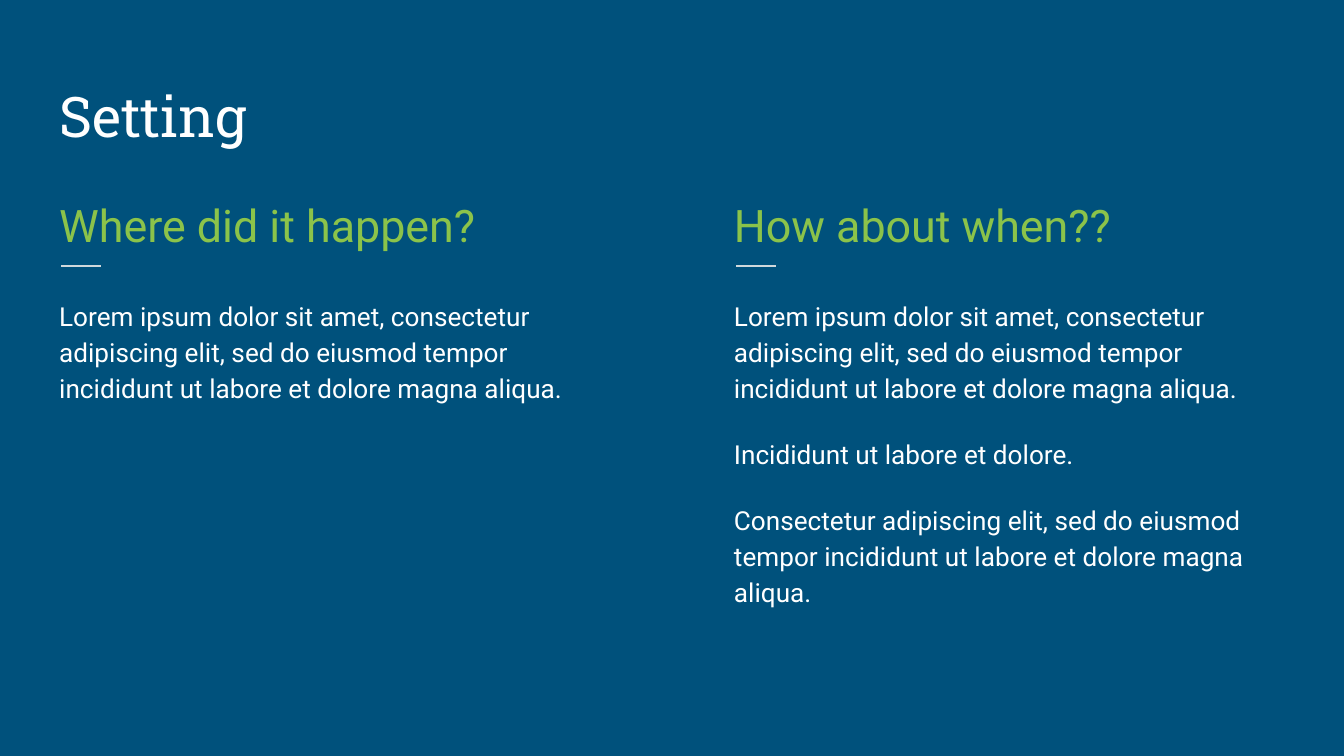
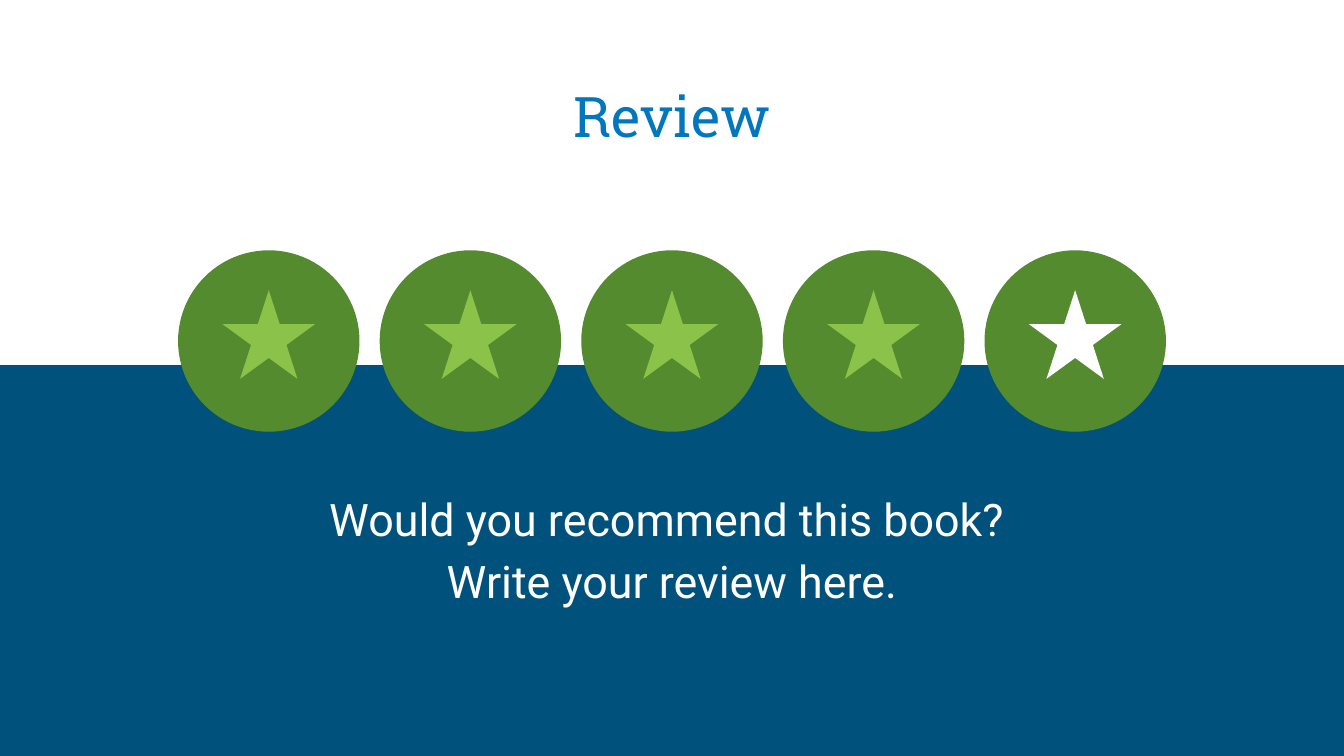
"""Build the setting and review slides of a book report."""
from dataclasses import dataclass

from lxml import etree
from pptx import Presentation
from pptx.dml.color import RGBColor as Rgb
from pptx.enum import shapes, text
from pptx.oxml import ns
from pptx.util import Pt


@dataclass(frozen=True)
class Theme:
    navy: str = "00517C"
    blue: str = "0277BD"
    green: str = "558B2F"
    lime: str = "8BC34A"
    grey: str = "CFD8DC"
    white: str = "FFFFFF"
    serif: str = "Roboto Slab"
    sans: str = "Roboto"
    title: int = 30
    lead: int = 24
    body: int = 14
    gap: int = 16


WIDE, HIGH = 720, 405
LEFT, FULL = 24.5, 671
COL, STEP = 303, 361.5
DISC, PITCH = 97.2, 108
STAR = 49.7, 47.5
LOREM = ("Lorem ipsum dolor sit amet, consectetur adipiscing elit, sed do "
         "eiusmod tempor incididunt ut labore et dolore magna aliqua.")
COLS = (
    ("Where did it happen?", [LOREM]),
    ("How about when??", [
        LOREM,
        "Incididunt ut labore et dolore.",
        "Consectetur adipiscing elit, sed do eiusmod tempor incididunt ut "
        "labore et dolore magna aliqua.",
    ]),
)


class Deck:
    def __init__(self, theme):
        self.theme = theme
        self.prs = Presentation()
        self.prs.slide_width, self.prs.slide_height = Pt(WIDE), Pt(HIGH)
        self.paint(self.prs.slide_master.background.fill, theme.navy)
        self.slide = None

    def paint(self, fill, color):
        fill.solid()
        fill.fore_color.rgb = Rgb.from_string(color)

    def start(self, layout):
        page = self.prs.slide_layouts.get_by_name(layout)
        self.slide = self.prs.slides.add_slide(page)

    def words(self, hold, box, paras, face, size, color, align, anchor, line, gap):
        hold.left, hold.top, hold.width, hold.height = map(Pt, box)
        frame = hold.text_frame
        frame.text = "\n".join(paras)
        frame.word_wrap = True
        frame.auto_size = text.MSO_AUTO_SIZE.NONE
        frame.vertical_anchor = anchor
        frame.margin_left = frame.margin_right = Pt(7.2)
        frame.margin_top = frame.margin_bottom = Pt(7.2)
        for i, para in enumerate(frame.paragraphs):
            para.alignment = align
            para.line_spacing = line
            para.space_before = Pt(gap if i else 0)
            para.space_after = Pt(0)
            props = para._p.get_or_add_pPr()
            props.set("marL", "0")
            props.set("indent", "0")
            etree.SubElement(props, ns.qn("a:buNone"))
            font = para.font
            font.name, font.size, font.bold = face, Pt(size), False
            font.color.rgb = Rgb.from_string(color)

    def title(self, label, color, align=text.PP_ALIGN.LEFT):
        self.words(self.slide.shapes.title, (LEFT, 29.5, FULL, 57.6), [label],
                   self.theme.serif, self.theme.title, color, align,
                   text.MSO_ANCHOR.BOTTOM, 1.0, 0)

    def body(self, idx, box, paras, size, color, align=text.PP_ALIGN.LEFT):
        self.words(self.slide.placeholders[idx], box, paras, self.theme.sans,
                   size, color, align, text.MSO_ANCHOR.TOP, 1.15, self.theme.gap)

    def rule(self, x, y, width):
        line = self.slide.shapes.add_connector(
            shapes.MSO_CONNECTOR.STRAIGHT, Pt(x), Pt(y), Pt(x + width), Pt(y))
        line.line.color.rgb = Rgb.from_string(self.theme.grey)
        line.line.width = Pt(0.75)
        etree.SubElement(line._element.spPr, ns.qn("a:effectLst"))

    def shape(self, kind, box, color, home=None):
        item = (home or self.slide).shapes.add_shape(kind, *map(Pt, box))
        item.shadow.inherit = False
        self.paint(item.fill, color)
        item.line.fill.background()
        return item

    def band(self, height, color):
        item = self.shape(shapes.MSO_SHAPE.RECTANGLE, (0, 0, WIDE, height), color)
        self.slide.shapes._spTree.insert(2, item._element)

    def badge(self, x, y, color):
        group = self.slide.shapes.add_group_shape()
        wide, high = STAR
        self.shape(shapes.MSO_SHAPE.OVAL, (x, y, DISC, DISC),
                   self.theme.green, group)
        self.shape(shapes.MSO_SHAPE.STAR_5_POINT,
                   (x + (DISC - wide) / 2, y + 21.4, wide, high), color, group)


def setting(deck):
    theme = deck.theme
    deck.start("Comparison")
    deck.title("Setting", theme.white)
    for i, (head, paras) in enumerate(COLS):
        x = LEFT + i * STEP
        deck.body(1 + 2 * i, (x, 94.3, COL, 41), [head], theme.lead, theme.lime)
        deck.rule(x + 8.4, 142.6, 21.2)
        deck.body(2 + 2 * i, (x, 151.2, COL, 217), paras, theme.body, theme.white)


def review(deck):
    theme = deck.theme
    center = text.PP_ALIGN.CENTER
    deck.start("Title and Content")
    deck.band(195.6, theme.white)
    deck.title("Review", theme.blue, center)
    stars = [theme.lime] * 4 + [theme.white]
    first = (WIDE - DISC - PITCH * (len(stars) - 1)) / 2
    for i, color in enumerate(stars):
        deck.badge(first + i * PITCH, 134.1, color)
    deck.body(1, (LEFT, 252, FULL, 126.7),
              ["Would you recommend this book? \vWrite your review here."],
              theme.lead, theme.white, center)


def main():
    deck = Deck(Theme())
    setting(deck)
    review(deck)
    deck.prs.save("out.pptx")


if __name__ == "__main__":
    main()
